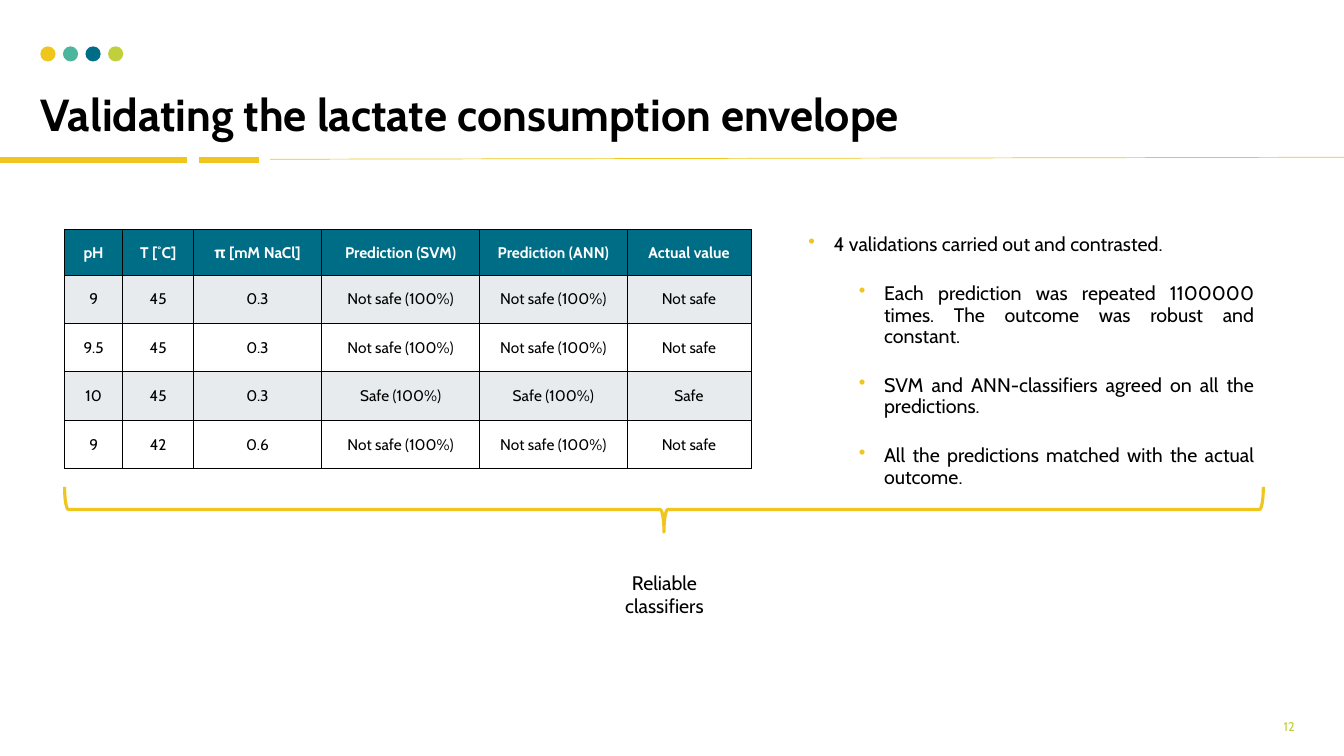
"""Build the slide on validating the lactate consumption envelope."""
from lxml import etree
from pptx import Presentation, util as u
from pptx.dml.color import RGBColor
from pptx.enum import shapes, text
from pptx.oxml import parse_xml
from pptx.oxml.ns import nsdecls, qn

THEME = {
    "font": "Cabin", "title": 32, "body": 14, "cell": 11, "page": 9,
    "yellow": "EEC61D", "teal": "029676", "blue": "006D87", "lime": "C0CF3A",
    "black": "000000", "white": "FFFFFF", "band": "E7EBED",
}
AL, MID = text.PP_ALIGN, text.MSO_ANCHOR.MIDDLE

prs = Presentation()
prs.slide_width, prs.slide_height = u.Inches(13.33), u.Inches(7.5)
s = prs.slides.add_slide(prs.slide_layouts[6])


def share(*lengths):
    """Turn alternating percentages of slide width and height into lengths."""
    sides = (prs.slide_width, prs.slide_height) * 2
    return [u.Emu(round(side * n / 100)) for side, n in zip(sides, lengths)]


def style(p, size, color="black", align=AL.LEFT, bold=False):
    """Format one paragraph and its runs."""
    p.alignment = align
    for r in p.runs:
        r.font.name, r.font.size, r.font.bold = THEME["font"], u.Pt(THEME[size]), bold
        r.font.color.rgb = RGBColor.from_string(THEME[color])


for x1, y1, x2, y2, width in [(0, 21.2, 13.88, 21.2, 4.5),
                              (14.78, 21.2, 19.28, 21.2, 4.5),
                              (20.1, 21.07, 100, 20.8, 0.5)]:
    rule = s.shapes.add_connector(shapes.MSO_CONNECTOR.STRAIGHT, *share(x1, y1, x2, y2))
    rule.line.color.rgb = RGBColor.from_string(THEME["yellow"])
    rule.line.width = u.Pt(width)
    etree.SubElement(rule._element.spPr, qn("a:effectLst"))

for i, color in enumerate(["yellow", "teal", "blue", "lime"]):
    dot = s.shapes.add_shape(shapes.MSO_SHAPE.OVAL, *share(3 + 1.68 * i, 6.13, 1.13, 2))
    dot.shadow.inherit = False
    dot.fill.solid()
    dot.fill.fore_color.rgb = RGBColor.from_string(THEME[color])
    dot.line.fill.background()
    if color == "teal":
        tint = dot._element.spPr.find(".//" + qn("a:srgbClr"))
        etree.SubElement(tint, qn("a:alpha"), val="70000")

title = s.shapes.add_textbox(*share(3, 3.6, 94.07, 15.07))
tf = title.text_frame
tf.word_wrap, tf.vertical_anchor = True, text.MSO_ANCHOR.BOTTOM
tf.margin_left = tf.margin_right = tf.margin_top = tf.margin_bottom = 0
tf.text = "Validating the lactate consumption envelope"
tf.paragraphs[0].line_spacing = 0.9
style(tf.paragraphs[0], "title", bold=True)

page = s.shapes.add_textbox(*share(74.57, 94.27, 22.5, 3.6))
tf = page.text_frame
tf.word_wrap, tf.vertical_anchor = True, MID
tf.text = "12"
style(tf.paragraphs[0], "page", "lime", AL.RIGHT)

rows = [
    ["pH", "T [˚C]", "π [mM NaCl]", "Prediction (SVM)", "Prediction (ANN)", "Actual value"],
    ["9", "45", "0.3", "Not safe (100%)", "Not safe (100%)", "Not safe"],
    ["9.5", "45", "0.3", "Not safe (100%)", "Not safe (100%)", "Not safe"],
    ["10", "45", "0.3", "Safe (100%)", "Safe (100%)", "Safe"],
    ["9", "42", "0.6", "Not safe (100%)", "Not safe (100%)", "Not safe"],
]
col_shares = [4.35, 5.25, 9.53, 11.78, 10.95, 9.23]
row_shares = [6] + [6.4] * 4
tbl = s.shapes.add_table(len(rows), len(col_shares),
                         *share(4.8, 30.4, sum(col_shares), sum(row_shares))).table
tbl.horz_banding = False
for col, n in zip(tbl.columns, col_shares):
    col.width = share(n)[0]
for i, (row, n) in enumerate(zip(rows, row_shares)):
    tbl.rows[i].height = share(0, n)[1]
    fill = "blue" if i == 0 else "band" if i % 2 else "white"
    for j, value in enumerate(row):
        cell = tbl.cell(i, j)
        cell.text = value
        cell.vertical_anchor = MID
        cell.margin_left = cell.margin_right = u.Inches(0.07)
        cell.margin_top = cell.margin_bottom = 0
        style(cell.text_frame.paragraphs[0], "cell", "black" if i else "white",
              AL.CENTER, i == 0)
        tcPr = cell._tc.get_or_add_tcPr()
        for side in ("lnL", "lnR", "lnT", "lnB"):
            tcPr.append(parse_xml(
                f'<a:{side} {nsdecls("a")} w="{u.Pt(0.75)}"><a:solidFill>'
                f'<a:srgbClr val="{THEME["black"]}"/></a:solidFill></a:{side}>'))
        cell.fill.solid()
        cell.fill.fore_color.rgb = RGBColor.from_string(THEME[fill])

bullets = [
    (0, "4 validations carried out and contrasted."),
    (1, "Each prediction was repeated 1100000 times. The outcome was robust and constant."),
    (1, "SVM and ANN-classifiers agreed on all the predictions."),
    (1, "All the predictions matched with the actual outcome."),
]
findings = s.shapes.add_textbox(*share(59.41, 30.4, 34.66, 38.27))
tf = findings.text_frame
tf.word_wrap = True
for i, (level, line) in enumerate(bullets):
    p = tf.add_paragraph() if i else tf.paragraphs[0]
    p.text, p.level = line, level
    pPr = p._p.get_or_add_pPr()
    pPr.set("marL", str(u.Inches(0.25 + 0.5 * level)))
    pPr.set("indent", str(u.Inches(-0.25)))
    bullet_color = etree.SubElement(pPr, qn("a:buClr"))
    etree.SubElement(bullet_color, qn("a:srgbClr"), val=THEME["yellow"])
    etree.SubElement(pPr, qn("a:buChar"), char="•")
    p.line_spacing, p.space_after = 0.9, u.Pt(10)
    p.space_before = u.Pt(10 if i else 0)
    style(p, "body", align=AL.JUSTIFY)

brace = s.shapes.add_shape(shapes.MSO_SHAPE.RIGHT_BRACE, *share(47.71, -11.87, 3.38, 158.53))
brace.rotation = 90
brace.shadow.inherit = False
brace.fill.background()
brace.line.color.rgb = RGBColor.from_string(THEME["yellow"])
brace.line.width = u.Pt(2.25)

verdict = s.shapes.add_shape(shapes.MSO_SHAPE.RECTANGLE, *share(43.29, 74.8, 12.3, 4.13))
verdict.shadow.inherit = False
verdict.fill.solid()
verdict.fill.fore_color.rgb = RGBColor.from_string(THEME["white"])
verdict.line.fill.background()
tf = verdict.text_frame
tf.word_wrap, tf.vertical_anchor = True, text.MSO_ANCHOR.TOP
tf.text = "Reliable classifiers"
style(tf.paragraphs[0], "body", align=AL.CENTER)

prs.save("out.pptx")
